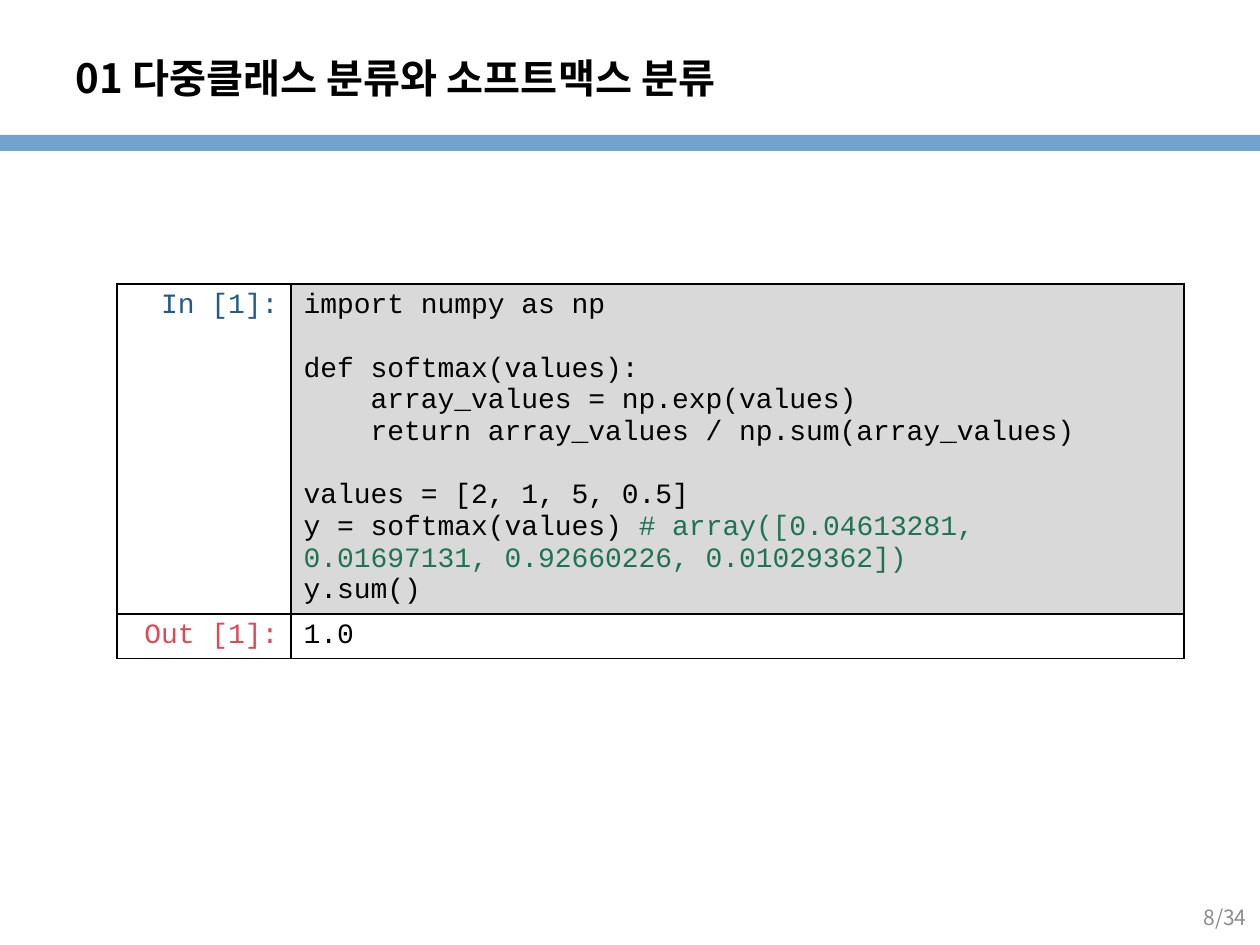
from dataclasses import dataclass

import lxml.etree
import pptx
import pptx.dml.color
import pptx.enum.shapes
import pptx.enum.text
import pptx.oxml.ns
import pptx.util

RGB = pptx.dml.color.RGBColor
ALIGN = pptx.enum.text.PP_ALIGN
MIDDLE = pptx.enum.text.MSO_ANCHOR.MIDDLE
qn = pptx.oxml.ns.qn

BLACK = RGB(0x00, 0x00, 0x00)
BAND_BLUE = RGB(0x71, 0xA4, 0xCC)
IN_BLUE = RGB(0x21, 0x5C, 0x88)
OUT_RED = RGB(0xDF, 0x48, 0x57)
COMMENT_GREEN = RGB(0x1E, 0x74, 0x52)
CODE_GRAY = RGB(0xD9, 0xD9, 0xD9)
PAGE_GRAY = RGB(0x8C, 0x8C, 0x8C)

SANS = "Noto Sans CJK KR"
MONO = "Courier New"
CODE_SIZE = 16
PX_PER_INCH = 126

CODE = """import numpy as np

def softmax(values):
    array_values = np.exp(values)
    return array_values / np.sum(array_values)

values = [2, 1, 5, 0.5]
y = softmax(values) # array([0.04613281, 0.01697131, 0.92660226, 0.01029362])
y.sum()"""


@dataclass
class NotebookRow:
    label: str
    label_color: RGB
    content: str
    fill: RGB | None
    height: int


ROWS = [
    NotebookRow("In [1]:", IN_BLUE, CODE, CODE_GRAY, 330),
    NotebookRow("Out [1]:", OUT_RED, "1.0", None, 44),
]
COLUMN_WIDTHS = (174, 893)


def px(length: int) -> int:
    return pptx.util.Emu(round(length * 914400 / PX_PER_INCH))


def box(left: int, top: int, width: int, height: int) -> tuple:
    return px(left), px(top), px(width), px(height)


def write(paragraph, text: str, *, size: int, font: str, color: RGB,
          bold: bool = False, align=ALIGN.LEFT) -> None:
    """Append formatted text; an empty line keeps its size."""
    paragraph.alignment = align
    if not text:
        end = lxml.etree.SubElement(paragraph._p, qn("a:endParaRPr"))
        end.set("sz", str(size * 100))
        lxml.etree.SubElement(end, qn("a:latin")).set("typeface", font)
        return
    run = paragraph.add_run()
    run.text = text
    run.font.size = pptx.util.Pt(size)
    run.font.name = font
    run.font.bold = bold
    run.font.color.rgb = color
    east_asian = lxml.etree.SubElement(run._r.get_or_add_rPr(), qn("a:ea"))
    east_asian.set("typeface", font)


def write_code(frame, code: str) -> None:
    for index, line in enumerate(code.split("\n")):
        paragraph = frame.add_paragraph() if index else frame.paragraphs[0]
        statement, mark, comment = line.partition("#")
        write(paragraph, statement, size=CODE_SIZE, font=MONO, color=BLACK)
        if mark:
            write(paragraph, mark + comment, size=CODE_SIZE, font=MONO,
                  color=COMMENT_GREEN)


def style_cell(cell, fill: RGB | None) -> None:
    """Black 1 pt borders first, then the fill, as the schema orders them."""
    properties = cell._tc.get_or_add_tcPr()
    for side in ("lnL", "lnR", "lnT", "lnB"):
        border = lxml.etree.SubElement(properties, qn(f"a:{side}"))
        border.set("w", str(pptx.util.Pt(1)))
        solid = lxml.etree.SubElement(border, qn("a:solidFill"))
        lxml.etree.SubElement(solid, qn("a:srgbClr")).set("val", str(BLACK))
    if fill is None:
        cell.fill.background()
    else:
        cell.fill.solid()
        cell.fill.fore_color.rgb = fill


def add_notebook(slide, left: int, top: int, rows: list[NotebookRow]) -> None:
    height = sum(row.height for row in rows)
    table = slide.shapes.add_table(
        len(rows), len(COLUMN_WIDTHS),
        *box(left, top, sum(COLUMN_WIDTHS), height)).table
    table.first_row = False
    table.horz_banding = False
    for column, width in zip(table.columns, COLUMN_WIDTHS):
        column.width = px(width)
    for index, row in enumerate(rows):
        table.rows[index].height = px(row.height)
        label, content = table.cell(index, 0), table.cell(index, 1)
        style_cell(label, None)
        style_cell(content, row.fill)
        write(label.text_frame.paragraphs[0], row.label, size=CODE_SIZE,
              font=MONO, color=row.label_color, align=ALIGN.RIGHT)
        write_code(content.text_frame, row.content)


def main() -> None:
    deck = pptx.Presentation()
    deck.slide_width, deck.slide_height = px(1260), px(945)
    slide = deck.slides.add_slide(deck.slide_layouts[5])

    # Header band
    band = slide.shapes.add_shape(
        pptx.enum.shapes.MSO_SHAPE.RECTANGLE, *box(0, 135, 1260, 16))
    band.shadow.inherit = False
    band.fill.solid()
    band.fill.fore_color.rgb = BAND_BLUE
    band.line.fill.background()

    # Title
    title = slide.shapes.title
    title.left, title.top, title.width, title.height = box(63, 38, 987, 78)
    title.text_frame.vertical_anchor = MIDDLE
    write(title.text_frame.paragraphs[0], "01 다중클래스 분류와 소프트맥스 분류",
          size=23, font=SANS, color=BLACK, bold=True)

    # Notebook cells
    add_notebook(slide, 117, 284, ROWS)

    # Page number
    page = slide.shapes.add_textbox(*box(965, 892, 294, 50)).text_frame
    page.word_wrap = True
    page.vertical_anchor = MIDDLE
    write(page.paragraphs[0], "8/34", size=12, font=SANS, color=PAGE_GRAY,
          align=ALIGN.RIGHT)

    deck.save("out.pptx")


if __name__ == "__main__":
    main()
